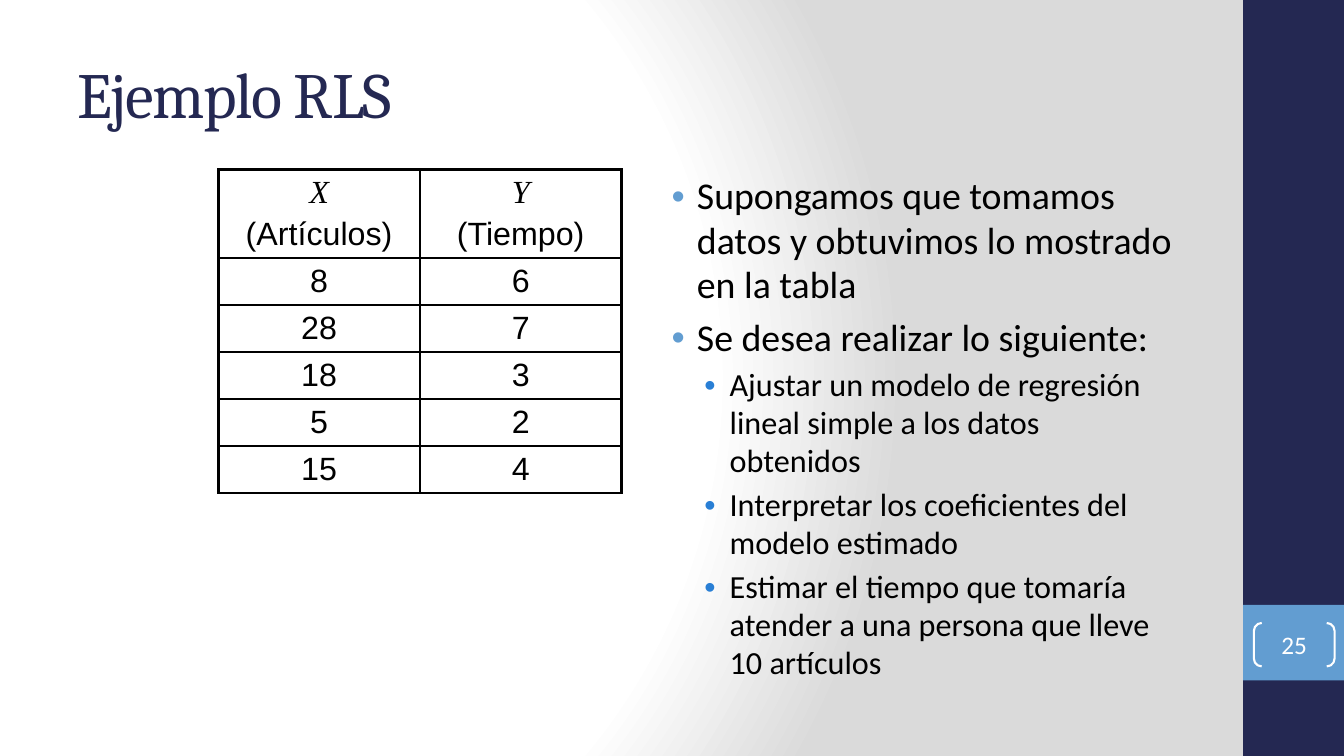
"""Build the slide "Ejemplo RLS" with its data table and task list."""
from lxml import etree
from pptx import Presentation
from pptx.dml.color import RGBColor
from pptx.enum.shapes import MSO_SHAPE
from pptx.enum.text import MSO_ANCHOR, MSO_AUTO_SIZE, PP_ALIGN
from pptx.oxml import parse_xml
from pptx.oxml.ns import qn
from pptx.util import Pt

RECT, BRACKETS = MSO_SHAPE.RECTANGLE, MSO_SHAPE.DOUBLE_BRACKET
MIDDLE, NO_FIT = MSO_ANCHOR.MIDDLE, MSO_AUTO_SIZE.NONE
LEFT, CENTER = PP_ALIGN.LEFT, PP_ALIGN.CENTER
NAVY, BLUE, BRIGHT = "242852", "629DD1", "297FD5"
BLACK, WHITE = "000000", "FFFFFF"
A_NS = "http://schemas.openxmlformats.org/drawingml/2006/main"


def rgb(value):
    return RGBColor.from_string(value)


def style(p, font, size, color, align=LEFT, italic=False):
    p.alignment = align
    for r in p.runs:
        r.font.name, r.font.size, r.font.italic = font, Pt(size), italic
        r.font.color.rgb = rgb(color)


prs = Presentation()
prs.slide_width, prs.slide_height = Pt(960), Pt(540)
s = prs.slides.add_slide(prs.slide_layouts[5])

fill = s.background.fill
fill.solid()
solid = s.element.find(".//" + qn("a:solidFill"))
stops = "".join(f'<a:gs pos="{pos}"><a:srgbClr val="{color}"/></a:gs>'
                for pos, color in [(0, WHITE), (75000, WHITE), (100000, "DADADA")])
solid.getparent().replace(solid, parse_xml(
    f'<a:gradFill xmlns:a="{A_NS}" rotWithShape="1"><a:gsLst>{stops}</a:gsLst>'
    '<a:path path="circle"><a:fillToRect l="20000" t="50000" r="100000" b="50000"/>'
    '</a:path></a:gradFill>'))

for top, height, color in [(0, 540, NAVY), (432, 54, BLUE)]:
    sp = s.shapes.add_shape(RECT, Pt(888), Pt(top), Pt(72), Pt(height))
    sp.shadow.inherit = False
    sp.fill.solid()
    sp.fill.fore_color.rgb = rgb(color)
    sp.line.fill.background()

title = s.shapes.title
title.left, title.top, title.width, title.height = Pt(48), Pt(21.6), Pt(800), Pt(90)
tf = title.text_frame
tf.text = "Ejemplo RLS"
tf.auto_size, tf.vertical_anchor = NO_FIT, MIDDLE
style(tf.paragraphs[0], "Cambria", 46, NAVY)
tf.paragraphs[0].runs[0].font._element.set("spc", "-100")

rows = [("X\n(Artículos)", "Y\n(Tiempo)"),
        ("8", "6"), ("28", "7"), ("18", "3"), ("5", "2"), ("15", "4")]
last_row, last_col = len(rows) - 1, len(rows[0]) - 1
table = s.shapes.add_table(len(rows), 2, Pt(156), Pt(121), Pt(288), Pt(242)).table
table.first_row = table.horz_banding = False
for i, row in enumerate(rows):
    table.rows[i].height = Pt(33.6 if i else 60)
    for j, text in enumerate(row):
        cell = table.cell(i, j)
        cell.text_frame.text = text
        for p in cell.text_frame.paragraphs:
            p.space_before = Pt(4.6)
            symbol = p.text in ("X", "Y")
            style(p, "Times New Roman" if symbol else "Arial", 23, BLACK, CENTER, symbol)
        outer = {"L": j == 0, "R": j == last_col, "T": i == 0, "B": i == last_row}
        tcPr = cell._tc.get_or_add_tcPr()
        for side, is_outer in outer.items():
            ln = etree.SubElement(tcPr, qn("a:ln" + side), w=str(Pt(2.25 if is_outer else 1)))
            line_fill = etree.SubElement(ln, qn("a:solidFill"))
            etree.SubElement(line_fill, qn("a:srgbClr"), val=BLACK)
        cell.fill.background()

tasks = [
    (0, "Supongamos que tomamos datos y obtuvimos lo mostrado en la tabla"),
    (0, "Se desea realizar lo siguiente:"),
    (1, "Ajustar un modelo de regresión lineal simple a los datos obtenidos"),
    (1, "Interpretar los coeficientes del modelo estimado"),
    (1, "Estimar el tiempo que tomaría atender a una persona que lleve 10 artículos"),
]
levels = [(27, BLUE, 27), (23, BRIGHT, 50.4)]
tf = s.shapes.add_textbox(Pt(463.7), Pt(121), Pt(384), Pt(361.4)).text_frame
tf.word_wrap = True
tf.text = "\n".join(text for level, text in tasks)
for p, (level, text) in zip(tf.paragraphs, tasks):
    size, bullet_color, margin = levels[level]
    p.level = level
    p.line_spacing = 0.98
    p.space_before = Pt(size * 0.2)
    style(p, "Calibri", size, BLACK)
    pPr = p._p.get_or_add_pPr()
    pPr.set("marL", str(Pt(margin)))
    pPr.set("indent", str(-Pt(18)))
    bullet = etree.SubElement(pPr, qn("a:buClr"))
    etree.SubElement(bullet, qn("a:srgbClr"), val=bullet_color)
    etree.SubElement(pPr, qn("a:buFont"), typeface="Arial")
    etree.SubElement(pPr, qn("a:buChar"), char="•")

sp = s.shapes.add_shape(BRACKETS, Pt(895.7), Pt(445), Pt(57.6), Pt(31))
sp.shadow.inherit = False
sp.adjustments[0] = 0.18
sp.fill.background()
sp.line.color.rgb = rgb(WHITE)
sp.line.width = Pt(1.5)
tf = sp.text_frame
tf.margin_left = tf.margin_right = tf.margin_top = tf.margin_bottom = 0
tf.vertical_anchor = MIDDLE
tf.text = "25"
style(tf.paragraphs[0], "Calibri", 18, WHITE, CENTER)

prs.save("out.pptx")
